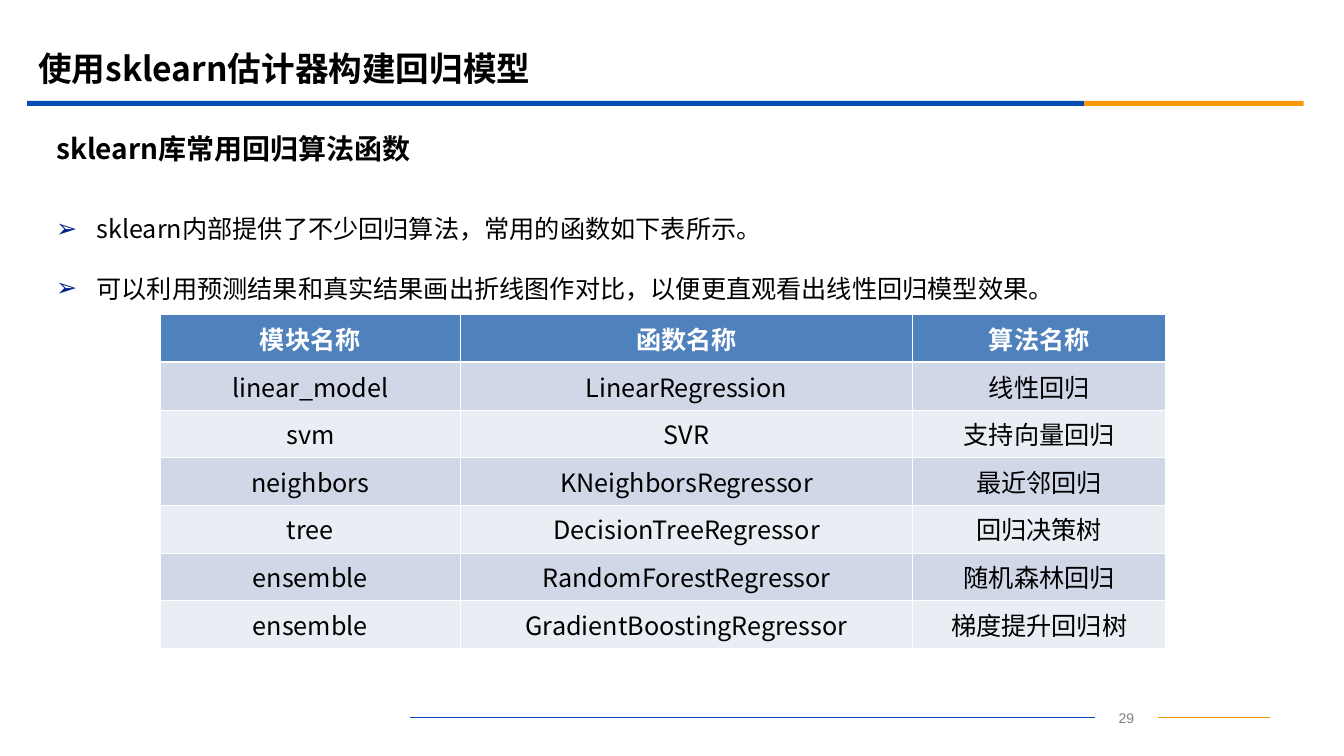
from lxml.etree import SubElement
from pptx import Presentation
from pptx.dml.color import RGBColor
from pptx.enum.shapes import MSO_CONNECTOR, MSO_SHAPE
from pptx.enum.text import MSO_ANCHOR, PP_ALIGN
from pptx.oxml.ns import qn
from pptx.util import Pt

PX = 9144  # EMU in one px, 100 px to the inch
INK = {
    "black": "000000", "white": "FFFFFF", "grey": "7F7F7F",
    "blue": "064BB2", "amber": "FB9708", "gold": "F19500", "mark": "032089",
    "head": "4F81BD", "odd": "D0D8E8", "even": "E9EDF4",
}
SANS = "Noto Sans CJK SC"


def rgb(name):
    return RGBColor.from_string(INK[name])


def px(*vals):
    return [v * PX for v in vals]


class Deck:
    def __init__(self, wide, high):
        self.prs = Presentation()
        self.prs.slide_width, self.prs.slide_height = px(wide, high)
        self.slide = self.prs.slides.add_slide(self.prs.slide_layouts[5])
        self.shapes = self.slide.shapes

    def style(self, para, size, ink="black", bold=False, face=SANS, align=PP_ALIGN.LEFT):
        para.alignment = align
        font = para.font
        font.size, font.bold, font.name = Pt(size), bold, face
        font.color.rgb = rgb(ink)
        east = SubElement(font._element, qn("a:ea"))
        east.set("typeface", face)

    def title(self, text, *box):
        head = self.shapes.title
        head.left, head.top, head.width, head.height = px(*box)
        head.text_frame.text = text
        head.text_frame.vertical_anchor = MSO_ANCHOR.MIDDLE
        self.style(head.text_frame.paragraphs[0], 24, bold=True)

    def text(self, text, *box, anchor=MSO_ANCHOR.MIDDLE, **look):
        area = self.shapes.add_textbox(*px(*box))
        frame = area.text_frame
        frame.word_wrap, frame.vertical_anchor = True, anchor
        frame.text = text
        self.style(frame.paragraphs[0], **look)
        return area

    def list(self, items, *box):
        frame = self.shapes.add_textbox(*px(*box)).text_frame
        frame.word_wrap = True
        frame.text = "\n".join(items)
        for i, para in enumerate(frame.paragraphs):
            para.line_spacing = 1.5
            if i:
                para.space_before = Pt(10)
            props = para._p.get_or_add_pPr()
            props.set("marL", str(40 * PX))
            props.set("indent", str(-40 * PX))
            tint = SubElement(props, qn("a:buClr"))
            SubElement(tint, qn("a:srgbClr")).set("val", INK["mark"])
            SubElement(props, qn("a:buFont")).set("typeface", "Arial")
            SubElement(props, qn("a:buChar")).set("char", "➢")
            self.style(para, 18)

    def bar(self, ink, *box):
        bar = self.shapes.add_shape(MSO_SHAPE.RECTANGLE, *px(*box))
        bar.shadow.inherit = False
        bar.fill.solid()
        bar.fill.fore_color.rgb = rgb(ink)
        bar.line.fill.background()

    def line(self, ink, *ends):
        line = self.shapes.add_connector(MSO_CONNECTOR.STRAIGHT, *px(*ends))
        line.line.width = Pt(0.75)
        line.line.color.rgb = rgb(ink)
        SubElement(line._element.spPr, qn("a:effectLst"))
        return line

    def cell(self, cell, text, fill, thick, **look):
        cell.text = text
        cell.vertical_anchor = MSO_ANCHOR.MIDDLE
        cell.margin_left = cell.margin_right = 4 * PX
        cell.margin_top = cell.margin_bottom = 5 * PX
        props = cell._tc.get_or_add_tcPr()
        for side in "LRTB":
            edge = SubElement(props, qn("a:ln" + side))
            edge.set("w", str(Pt(1.47 if side == thick else 0.45)))
            paint = SubElement(edge, qn("a:solidFill"))
            SubElement(paint, qn("a:srgbClr")).set("val", INK["white"])
        cell.fill.solid()
        cell.fill.fore_color.rgb = rgb(fill)
        self.style(cell.text_frame.paragraphs[0], 18, align=PP_ALIGN.CENTER, **look)

    def table(self, rows, wide, *box):
        grid = self.shapes.add_table(len(rows), len(wide), *px(*box)).table
        grid.horz_banding = False
        for col, size in zip(grid.columns, px(*wide)):
            col.width = size
        for r, row in enumerate(rows):
            fill = "head" if r == 0 else "odd" if r % 2 else "even"
            thick = {0: "B", 1: "T"}.get(r)
            ink = "white" if r == 0 else "black"
            for c, text in enumerate(row):
                self.cell(grid.cell(r, c), text, fill, thick, ink=ink, bold=r == 0)


def main():
    deck = Deck(1334, 750)

    # Footer: page number between two rules
    page = deck.text("29", 1087, 699, 62, 26, anchor=MSO_ANCHOR.TOP, size=10,
                     ink="grey", face="Arial", align=PP_ALIGN.CENTER)
    deck.line("gold", 1149, 712, 1261, 712).begin_connect(page, 3)
    deck.line("blue", 407, 712, 1087, 712).end_connect(page, 1)

    # Title and its two-colour bar
    deck.bar("blue", 27, 100, 1049, 5)
    deck.bar("amber", 1076, 100, 218, 5)
    deck.title("使用sklearn估计器构建回归模型", 28, 39, 1200, 58)

    # Heading and bullets
    deck.text("sklearn库常用回归算法函数", 46, 124, 1215, 47, size=20, bold=True)
    deck.list([
        "sklearn内部提供了不少回归算法，常用的函数如下表所示。",
        "可以利用预测结果和真实结果画出折线图作对比，以便更直观看出线性回归模型效果。",
    ], 46, 192, 1215, 478)

    # Table of regression functions
    deck.table([
        ("模块名称", "函数名称", "算法名称"),
        ("linear_model", "LinearRegression", "线性回归"),
        ("svm", "SVR", "支持向量回归"),
        ("neighbors", "KNeighborsRegressor", "最近邻回归"),
        ("tree", "DecisionTreeRegressor", "回归决策树"),
        ("ensemble", "RandomForestRegressor", "随机森林回归"),
        ("ensemble", "GradientBoostingRegressor", "梯度提升回归树"),
    ], (298, 449, 251), 159, 312, 998, 331)

    deck.prs.save("out.pptx")


if __name__ == "__main__":
    main()
